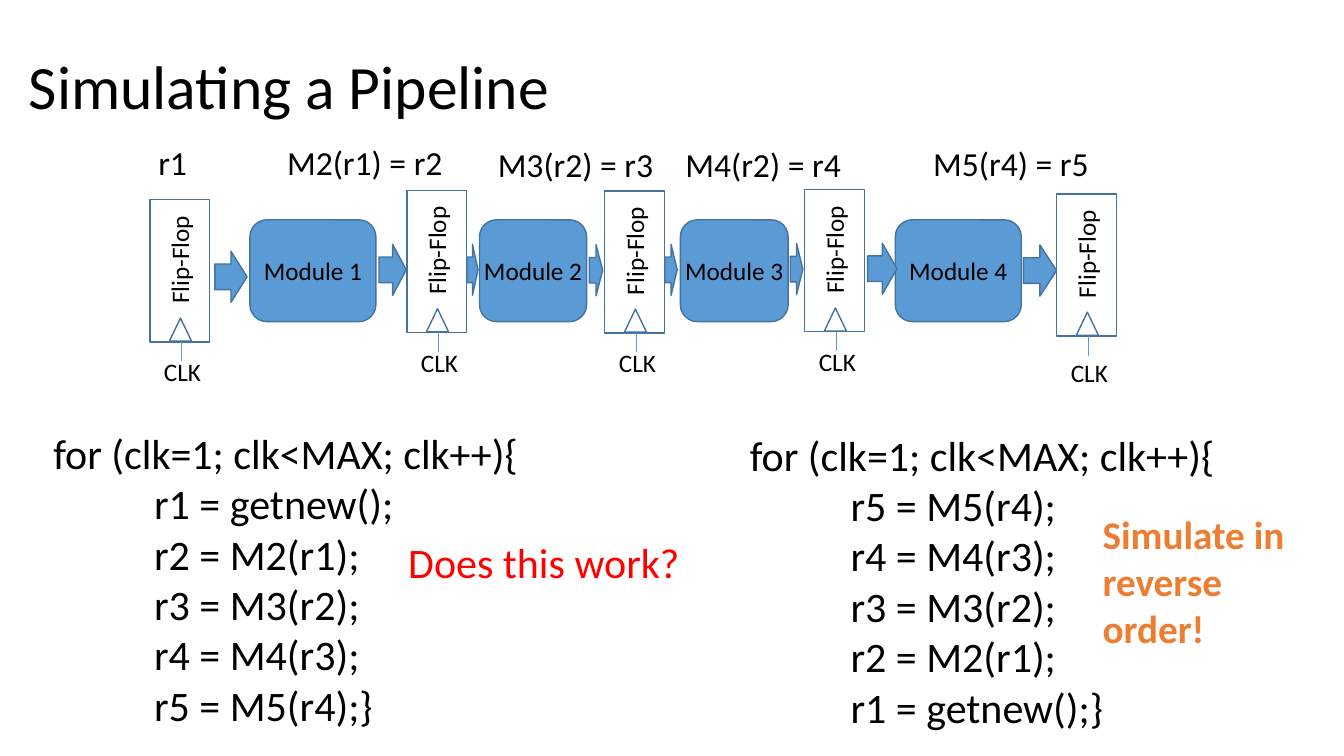
from dataclasses import dataclass

from lxml.etree import SubElement
from pptx import Presentation
from pptx.dml.color import RGBColor
from pptx.enum.shapes import MSO_CONNECTOR as Connector, MSO_SHAPE as Shape
from pptx.enum.text import MSO_ANCHOR as Anchor, PP_ALIGN as Align
from pptx.oxml.ns import qn
from pptx.util import Pt


@dataclass(frozen=True)
class Theme:
    font: str = "Calibri"
    text: str = "000000"
    fill: str = "5B9BD5"
    outline: str = "43739E"
    question: str = "FF0000"
    answer: str = "ED7D31"
    title_size: int = 44
    code_size: int = 30
    answer_size: int = 28
    stage_size: int = 24
    label_size: int = 18


class SlideBuilder:
    def __init__(self, slide, theme):
        self.slide = slide
        self.theme = theme

    def style(self, paragraph, size, color=None, bold=False):
        font = paragraph.font
        font.name, font.size, font.bold = self.theme.font, Pt(size), bold
        font.color.rgb = RGBColor.from_string(color or self.theme.text)

    def title(self, text, left, top, width, height):
        title = self.slide.shapes.title
        title.left, title.top, title.width, title.height = map(Pt, (left, top, width, height))
        frame = title.text_frame
        frame.text, frame.vertical_anchor = text, Anchor.MIDDLE
        paragraph = frame.paragraphs[0]
        paragraph.alignment, paragraph.line_spacing = Align.LEFT, 0.9
        self.style(paragraph, self.theme.title_size)

    def text(self, text, left, top, width, height, size, color=None, bold=False, wrap=False):
        box = self.slide.shapes.add_textbox(Pt(left), Pt(top), Pt(width), Pt(height))
        box.text_frame.word_wrap = wrap
        box.text_frame.text = text
        for paragraph in box.text_frame.paragraphs:
            self.style(paragraph, size, color, bold)
        return box

    def code(self, lines, left, top):
        box = self.text("\n".join(lines), left, top, 350, 225, self.theme.code_size, wrap=True)
        for paragraph in box.text_frame.paragraphs[1:]:
            properties = paragraph._p.get_or_add_pPr()
            properties.set("marL", str(Pt(72)))
            properties.set("indent", "0")

    def shape(self, kind, left, top, width, height, fill=None):
        shape = self.slide.shapes.add_shape(kind, Pt(left), Pt(top), Pt(width), Pt(height))
        shape.shadow.inherit = False
        if fill:
            shape.fill.solid()
            shape.fill.fore_color.rgb = RGBColor.from_string(fill)
        else:
            shape.fill.background()
        shape.line.color.rgb = RGBColor.from_string(self.theme.outline)
        shape.line.width = Pt(1)
        return shape

    def line(self, x, top, bottom):
        line = self.slide.shapes.add_connector(Connector.STRAIGHT, Pt(x), Pt(top), Pt(x), Pt(bottom))
        line.line.color.rgb = RGBColor.from_string(self.theme.fill)
        line.line.width = Pt(0.5)
        SubElement(line._element.spPr, qn("a:effectLst"))

    def module(self, text, left, width):
        module = self.shape(Shape.ROUNDED_RECTANGLE, left, 157, width, 72.7, self.theme.fill)
        frame = module.text_frame
        frame.text, frame.word_wrap, frame.vertical_anchor = text, False, Anchor.MIDDLE
        frame.margin_left = frame.margin_right = 0
        frame.paragraphs[0].alignment = Align.CENTER
        self.style(frame.paragraphs[0], self.theme.label_size)

    def flip_flop(self, left, top, clock_offset):
        self.shape(Shape.RECTANGLE, left, top, 42.6, 101.5)
        self.shape(Shape.ISOSCELES_TRIANGLE, left + 14, top + 84.5, 15.8, 16.5)
        label = self.text("Flip-Flop", left - 18, top + 28, 78, 29, self.theme.label_size)
        label.rotation = 270
        self.line(left + 22.5, top + 101.5, top + 115.5)
        self.text("CLK", left + 3, top + clock_offset, 42, 29, self.theme.label_size)


presentation = Presentation()
presentation.slide_width, presentation.slide_height = Pt(960), Pt(540)
slide = presentation.slides.add_slide(presentation.slide_layouts[5])
theme = Theme()
builder = SlideBuilder(slide, theme)

builder.title("Simulating a Pipeline", 13.5, 11.5, 828, 104.5)

# Pipeline: modules, flip-flops and the arrows between them
modules = [(178.5, 90), (342.5, 76.5), (486, 77), (639.5, 90)]
for number, (left, width) in enumerate(modules, start=1):
    builder.module(f"Module {number}", left, width)

flip_flops = [(107, 142.7, 108.5), (290.6, 136, 108.5), (432, 136.3, 108.5),
              (574.8, 135.5, 108.5), (754.8, 138.5, 113)]
for left, top, clock_offset in flip_flops:
    builder.flip_flop(left, top, clock_offset)

arrows = [(153.5, 179.5, 23), (270.7, 174.5, 19.5), (333.5, 174.5, 8), (421, 174.8, 9.5),
          (475, 174.5, 8.7), (564.5, 174, 9), (619.7, 173.7, 21), (731, 175, 23.7)]
for left, top, width in arrows:
    builder.shape(Shape.RIGHT_ARROW, left, top, width, 36.5, theme.fill)

# Stage results above the pipeline
stages = [("r1", 106, 98, 35), ("M2(r1) = r2", 198, 98, 127), ("M3(r2) = r3", 348.5, 99.4, 127),
          ("M4(r2) = r4", 482.5, 99.4, 127), ("M5(r4) = r5", 659.5, 98.6, 127)]
for text, left, top, width in stages:
    builder.text(text, left, top, width, 36, theme.stage_size)

# Simulation loops in forward and reverse order
loop = "for (clk=1; clk<MAX; clk++){"
steps = ["r1 = getnew();"] + [f"r{n} = M{n}(r{n - 1});" for n in range(2, 6)]
for ordered, left, top in [(steps, 31, 301.7), (steps[::-1], 528.5, 303)]:
    builder.code([loop, *ordered[:-1], ordered[-1] + "}"], left, top)

# Remarks beside the loops
builder.text("Does this work?", 284.5, 380, 210, 44, theme.code_size, theme.question)
builder.text("Simulate in reverse order!", 780.5, 360.7, 165, 109, theme.answer_size,
             theme.answer, bold=True, wrap=True)

presentation.save("out.pptx")
